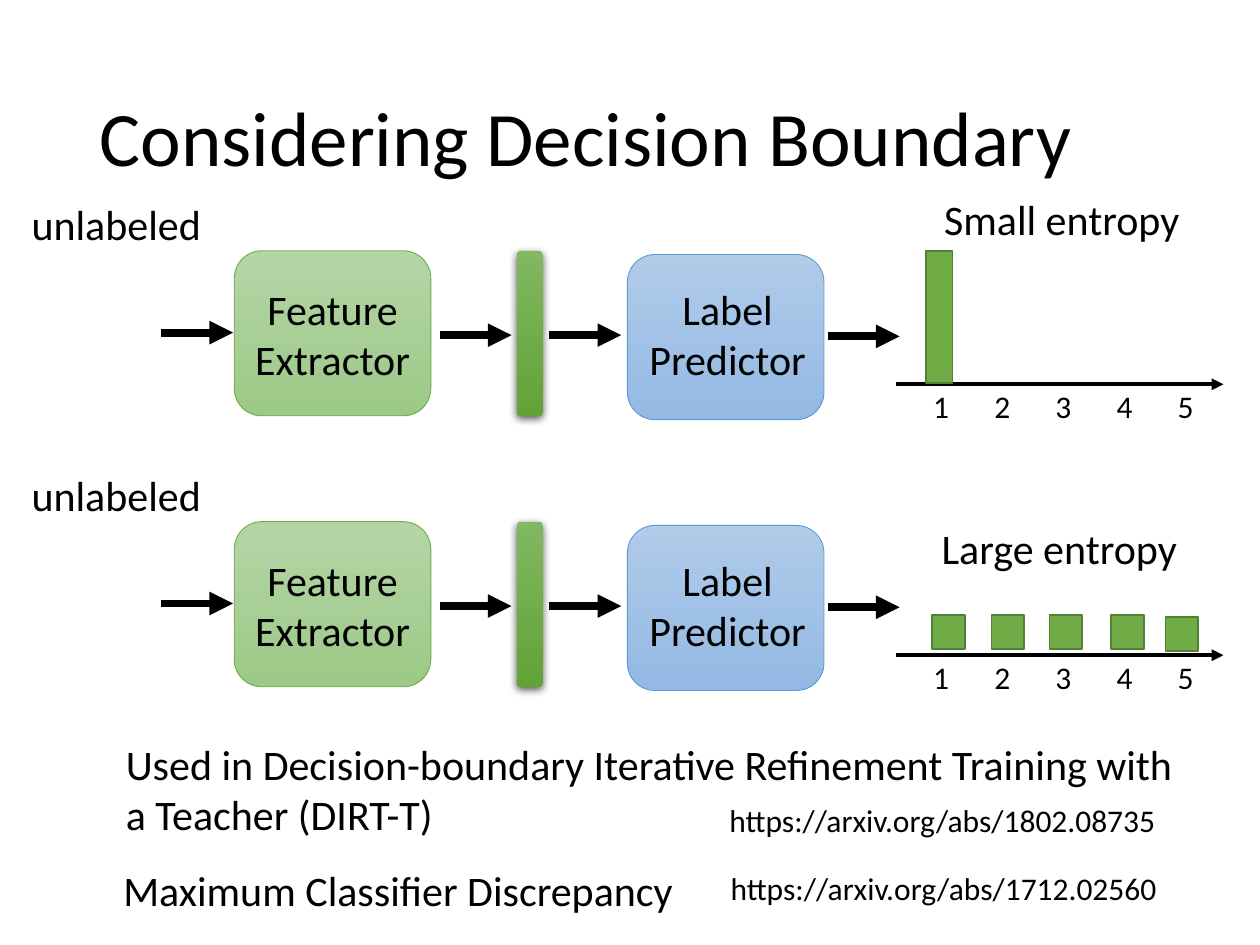
from lxml.etree import SubElement
from pptx import Presentation
from pptx.dml.color import RGBColor
from pptx.enum.shapes import MSO_CONNECTOR, MSO_SHAPE
from pptx.enum.text import MSO_ANCHOR, PP_ALIGN
from pptx.oxml import parse_xml
from pptx.oxml.ns import nsdecls, qn
from pptx.util import Inches, Pt

TITLE = "Considering Decision Boundary"
ROWS = [
    {"top": 1.99, "caption": "Small entropy ", "caption_at": (7.25, 1.49),
     "bars": [(7.35, 1.99, 0.21, 1.05)]},
    {"top": 4.14, "caption": "Large entropy ", "caption_at": (7.23, 4.1),
     "bars": [(7.4, 4.88, 0.26, 0.27), (7.87, 4.88, 0.26, 0.27),
              (8.33, 4.88, 0.26, 0.27), (8.82, 4.88, 0.26, 0.27),
              (9.25, 4.9, 0.26, 0.27)]},
]
BLOCKS = [
    (1.86, 0, 1.56, ("B5D5A7", "9CC987"), "70AD47"),
    (4.98, 0.03, 1.56, ("B1CBE9", "93B9E4"), "5B9BD5"),
    (4.1, 0, 0.21, ("81B861", "62A336"), None),
]
BLOCK_LABELS = [
    (1.92, 1.44, "Feature Extractor "),
    (4.95, 1.65, "Label\nPredictor"),
]
FLOW_ARROWS = [(1.28, 0.65), (3.49, 0.67), (4.36, 0.67), (6.57, 0.68)]
CLASSES = ["1", "2", "3", "4", "5"]
REFERENCES = [
    ("Used in Decision-boundary Iterative Refinement Training with a Teacher (DIRT-T)",
     (0.9, 5.81, 8.62, 0.91), 24),
    ("https://arxiv.org/abs/1802.08735", (5.69, 6.31, 3.81, 0.4), 18),
    ("Maximum Classifier Discrepancy", (0.88, 6.81, 5.09, 0.5), 24),
    ("https://arxiv.org/abs/1712.02560", (5.7, 6.85, 3.8, 0.4), 18),
]
BLOCK_HEIGHT = 1.31
ARROW_LENGTH = 0.57
AXIS_LEFT, AXIS_RIGHT, AXIS_DROP = 7.11, 9.71, 1.06
CLASS_LEFT, CLASS_STEP = 7.17, 0.485


def set_color(color_format, value):
    color_format.rgb = RGBColor.from_string(value)


def format_text(text_frame, size, alignment):
    for paragraph in text_frame.paragraphs:
        paragraph.alignment = alignment
        for run in paragraph.runs:
            run.font.name = "Calibri"
            run.font.size = Pt(size)
            set_color(run.font.color, "000000")


def add_text(shapes, text, box, size=24, alignment=PP_ALIGN.CENTER):
    text_frame = shapes.add_textbox(*map(Inches, box)).text_frame
    text_frame.word_wrap = True
    text_frame.text = text
    format_text(text_frame, size, alignment)


def add_arrow(shapes, left, right, y, width):
    arrow = shapes.add_connector(
        MSO_CONNECTOR.STRAIGHT, Inches(left), Inches(y), Inches(right), Inches(y))
    arrow.line.width = Pt(width)
    set_color(arrow.line.color, "000000")
    SubElement(arrow.line._get_or_add_ln(), qn("a:tailEnd"), type="triangle")
    SubElement(arrow._element.spPr, qn("a:effectLst"))


def add_soft_shadow(shape):
    shape._element.spPr.append(parse_xml(
        f'<a:effectLst {nsdecls("a")}>'
        '<a:outerShdw blurRad="57150" dist="19050" dir="5400000" algn="ctr" rotWithShape="0">'
        '<a:srgbClr val="000000"><a:alpha val="63000"/></a:srgbClr>'
        '</a:outerShdw></a:effectLst>'))


def add_block(shapes, box, gradient, outline):
    block = shapes.add_shape(MSO_SHAPE.ROUNDED_RECTANGLE, *map(Inches, box))
    block.fill.gradient()
    block.fill.gradient_angle = 270
    for stop, value in zip(block.fill.gradient_stops, gradient):
        set_color(stop.color, value)
    if outline:
        block.line.width = Pt(0.5)
        set_color(block.line.color, outline)
        block.shadow.inherit = False
    else:
        block.line.fill.background()
        add_soft_shadow(block)


def add_bar(shapes, box):
    bar = shapes.add_shape(MSO_SHAPE.RECTANGLE, *map(Inches, box))
    bar.shadow.inherit = False
    bar.fill.solid()
    set_color(bar.fill.fore_color, "70AD47")
    bar.line.width = Pt(1)
    set_color(bar.line.color, "538035")


def add_distribution(shapes, top, bars):
    group = shapes.add_group_shape().shapes
    axis = top + AXIS_DROP
    add_arrow(group, AXIS_LEFT, AXIS_RIGHT, axis, 2.25)
    for index, name in enumerate(CLASSES):
        left = CLASS_LEFT + index * CLASS_STEP
        add_text(group, name, (left, axis - 0.03, 0.6, 0.4), 18)
    for box in bars:
        add_bar(group, box)


def add_row(shapes, row):
    top = row["top"]
    for left, drop, width, gradient, outline in BLOCKS:
        add_block(shapes, (left, top + drop, width, BLOCK_HEIGHT), gradient, outline)
    for left, width, label in BLOCK_LABELS:
        add_text(shapes, label, (left, top + 0.21, width, 0.91))
    for left, drop in FLOW_ARROWS:
        add_arrow(shapes, left, left + ARROW_LENGTH, top + drop, 4.5)
    add_text(shapes, "unlabeled ", (-0.18, top - 0.46, 2.28, 0.5))
    add_distribution(shapes, top, row["bars"])
    add_text(shapes, row["caption"], (*row["caption_at"], 2.43, 0.5))


def main():
    presentation = Presentation()
    presentation.slide_width = Inches(10)
    presentation.slide_height = Inches(7.5)
    slide = presentation.slides.add_slide(presentation.slide_layouts[5])
    title = slide.shapes.title
    title.left, title.top, title.width, title.height = map(Inches, (0.69, 0.4, 8.62, 1.45))
    title.text_frame.text = TITLE
    title.text_frame.vertical_anchor = MSO_ANCHOR.MIDDLE
    title.text_frame.paragraphs[0].line_spacing = 0.9
    format_text(title.text_frame, 44, PP_ALIGN.LEFT)
    for row in ROWS:
        add_row(slide.shapes, row)
    for text, box, size in REFERENCES:
        add_text(slide.shapes, text, box, size, PP_ALIGN.LEFT)
    presentation.save("out.pptx")


if __name__ == "__main__":
    main()
